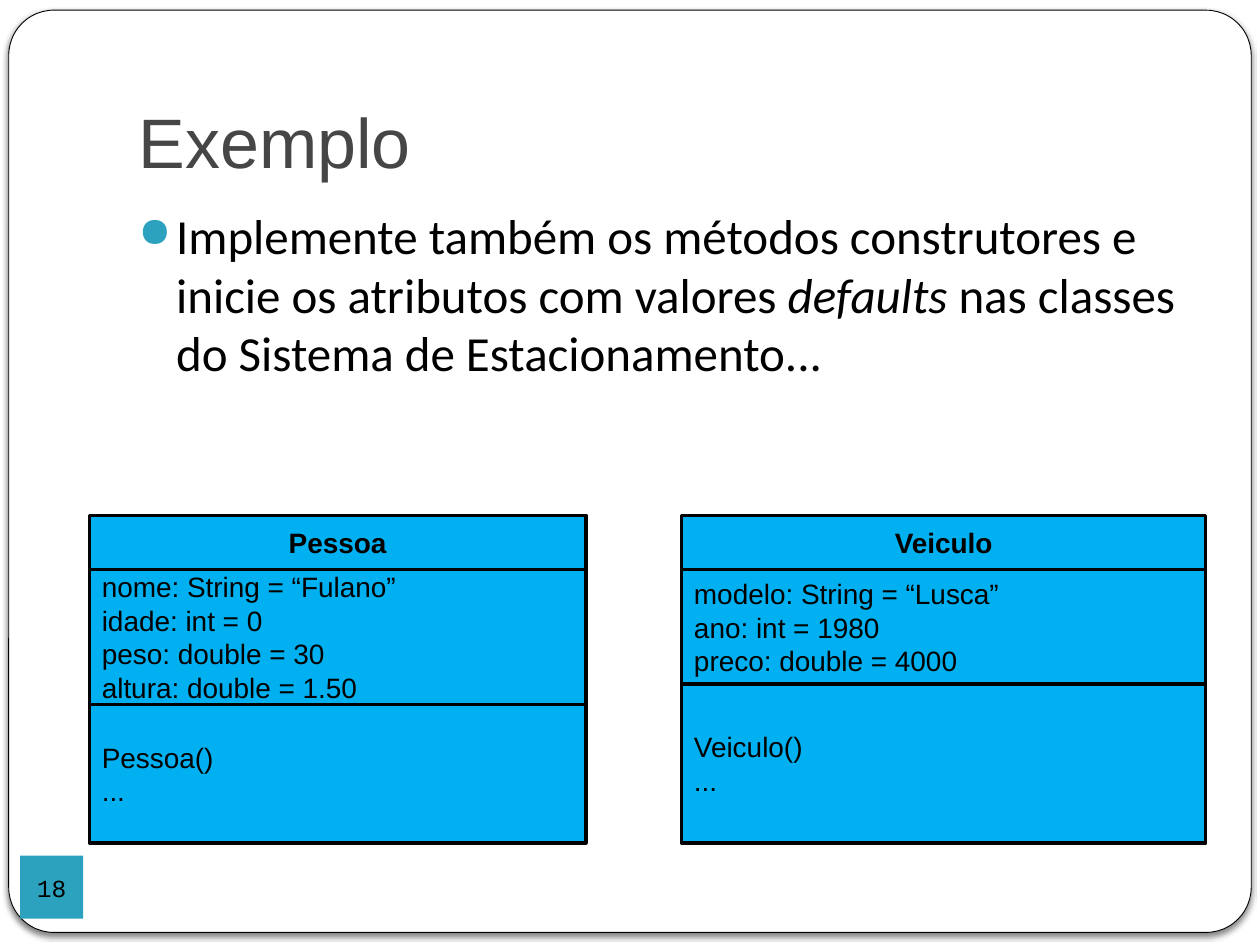
from lxml import etree
from pptx import Presentation
from pptx.dml.color import RGBColor
from pptx.enum.shapes import MSO_SHAPE
from pptx.enum.text import MSO_ANCHOR, PP_ALIGN
from pptx.oxml import parse_xml
from pptx.oxml.ns import nsdecls, qn
from pptx.util import Pt

RECT, ROUNDED = MSO_SHAPE.RECTANGLE, MSO_SHAPE.ROUNDED_RECTANGLE
LEFT, CENTER = PP_ALIGN.LEFT, PP_ALIGN.CENTER
MIDDLE, BOTTOM = MSO_ANCHOR.MIDDLE, MSO_ANCHOR.BOTTOM

COLORS = {"paper": "FFFFFF", "ink": "000000", "title": "464646",
          "accent": "2DA2BF", "box": "00B0F0"}

# Content
TITLE = "Exemplo"
BODY = [
    ("Implemente também os métodos construtores e inicie os atributos com valores ", False),
    ("defaults", True),
    (" nas classes do Sistema de Estacionamento...", False),
]
PAGE = "18"
CLASSES = [
    {"left": 51.1, "width": 283.7, "sections": [
        (["Pessoa"], 31),
        (["nome: String = “Fulano”", "idade: int = 0",
          "peso: double = 30", "altura: double = 1.50"], 77),
        (["Pessoa()", "..."], 79.2)]},
    {"left": 389.5, "width": 299.5, "sections": [
        (["Veiculo"], 31),
        (["modelo: String = “Lusca”", "ano: int = 1980",
          "preco: double = 4000"], 65.5),
        (["Veiculo()", "..."], 90.7)]},
]
CLASS_TOP = 294.5


def rgb(name):
    return RGBColor.from_string(COLORS[name])


def set_font(font, name, size, color="ink", bold=False):
    font.name, font.size, font.bold = name, Pt(size), bold
    font.color.rgb = rgb(color)


def set_frame(tf, anchor, margins):
    tf.word_wrap = True
    tf.vertical_anchor = anchor
    tf.margin_left, tf.margin_top, tf.margin_right, tf.margin_bottom = map(Pt, margins)


def add_box(shapes, kind, box, fill, line_width=None):
    sp = shapes.add_shape(kind, *map(Pt, box))
    sp.shadow.inherit = False
    sp.fill.solid()
    sp.fill.fore_color.rgb = rgb(fill)
    if line_width:
        sp.line.color.rgb = rgb("ink")
        sp.line.width = Pt(line_width)
    else:
        sp.line.fill.background()
    return sp


def write_lines(tf, lines, align, *font):
    for i, line in enumerate(lines):
        p = tf.add_paragraph() if i else tf.paragraphs[0]
        p.text, p.alignment = line, align
        set_font(p.font, *font)


prs = Presentation()
prs.slide_width, prs.slide_height = Pt(720), Pt(540)
s = prs.slides.add_slide(prs.slide_layouts[5])

# Rounded page frame with a soft shadow, behind the title
frame = add_box(s.shapes, ROUNDED, (5, 5.8, 710, 527), "paper", 0.5)
frame.adjustments[0] = 0.049
effects = frame._element.spPr.find(qn("a:effectLst"))
effects.append(parse_xml(
    f'<a:outerShdw {nsdecls("a")} blurRad="{Pt(3)}" dist="{Pt(2)}" dir="5400000">'
    f'<a:srgbClr val="{COLORS["ink"]}"><a:alpha val="50000"/></a:srgbClr></a:outerShdw>'))
s.shapes._spTree.insert(2, frame._element)

# Title
title = s.shapes.title
title.left, title.top, title.width, title.height = map(Pt, (72, 21.6, 612, 90))
set_frame(title.text_frame, BOTTOM, (7.2, 3.6, 7.2, 7.2))
write_lines(title.text_frame, [TITLE], LEFT, "Arial", 40, "title")

# Bulleted body text
body = s.shapes.add_textbox(*map(Pt, (72, 113.8, 617, 360)))
tf = body.text_frame
tf.word_wrap = True
p = tf.paragraphs[0]
p.space_before = Pt(5.8)
set_font(p.font, "Calibri", 28)
for text, italic in BODY:
    r = p.add_run()
    r.text, r.font.italic = text, italic
pPr = p._p.get_or_add_pPr()
pPr.set("marL", str(Pt(21.6)))
pPr.set("indent", str(Pt(-21.6)))
defaults = pPr.find(qn("a:defRPr"))
color = etree.Element(qn("a:buClr"))
etree.SubElement(color, qn("a:srgbClr"), val=COLORS["accent"])
for bullet in (color, etree.Element(qn("a:buSzPct"), val="85000"),
               etree.Element(qn("a:buChar"), char="●")):
    defaults.addprevious(bullet)

# Page number
page = add_box(s.shapes, RECT, (11.5, 489, 36, 36), "accent")
set_frame(page.text_frame, MIDDLE, (0, 0, 0, 0))
write_lines(page.text_frame, [PAGE], CENTER, "Courier New", 14)

# Class diagrams: stacked sections, the first one holding the name
for cls in CLASSES:
    group = s.shapes.add_group_shape()
    top = CLASS_TOP
    for i, (lines, height) in enumerate(cls["sections"]):
        sp = add_box(group.shapes, RECT, (cls["left"], top, cls["width"], height), "box", 2)
        set_frame(sp.text_frame, MIDDLE, (7.2, 3.6, 7.2, 3.6))
        is_name = i == 0
        write_lines(sp.text_frame, lines, CENTER if is_name else LEFT,
                    "Arial", 16, "ink", is_name)
        top += height

prs.save("out.pptx")
